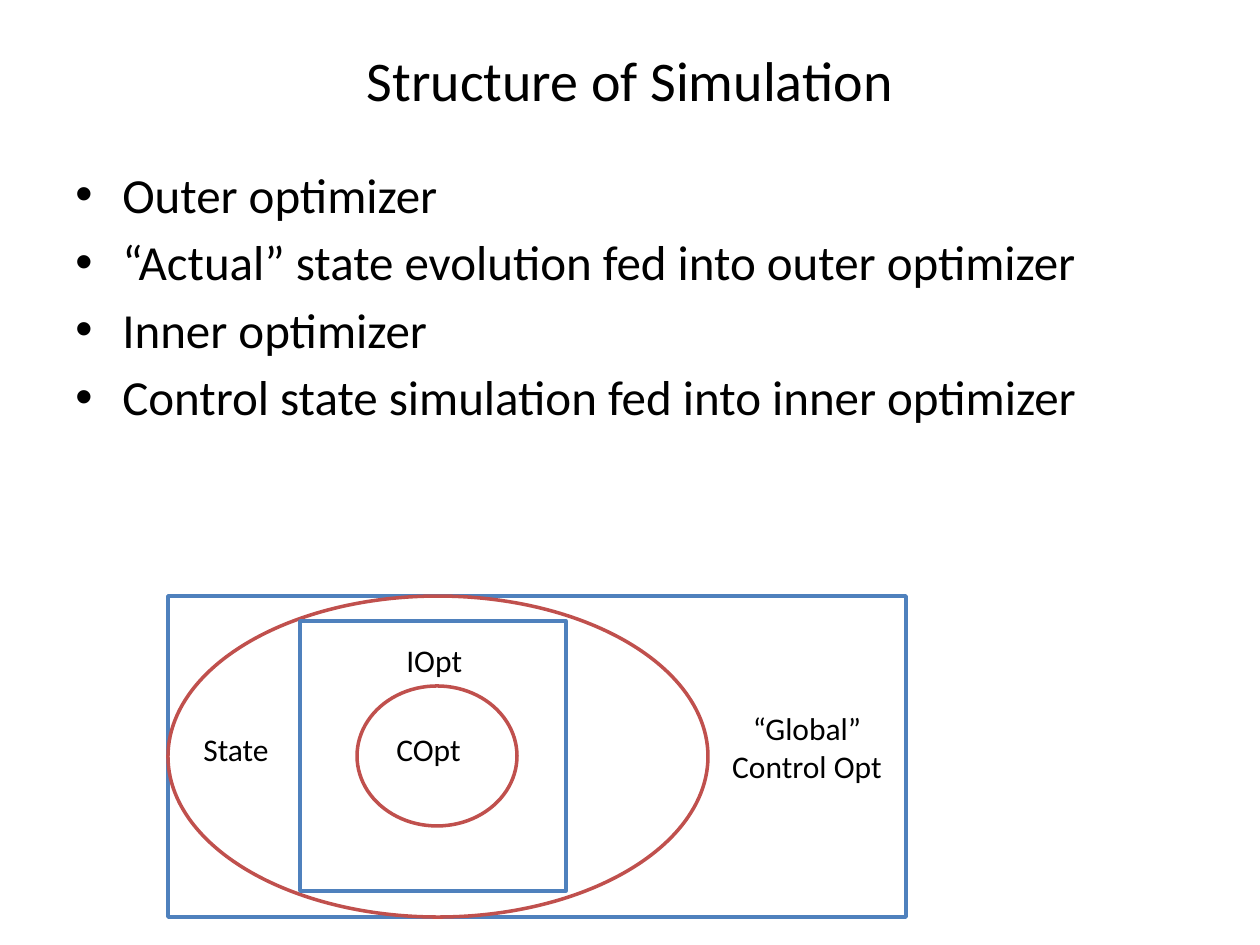
import dataclasses

import lxml.etree
import pptx
import pptx.dml.color
import pptx.enum.shapes
import pptx.enum.text
import pptx.oxml.ns
import pptx.util

ALIGN = pptx.enum.text.PP_ALIGN
ANCHOR = pptx.enum.text.MSO_ANCHOR
SHAPE = pptx.enum.shapes.MSO_SHAPE


@dataclasses.dataclass(frozen=True)
class Theme:
    font: str = "Calibri"
    text: str = "000000"
    paper: str = "FFFFFF"
    optimizer: str = "4F81BD"
    state: str = "C0504D"
    title_size: int = 32
    body_size: int = 28
    label_size: int = 18
    line_width: int = 2
    bullet_gap: int = 5


def px(length):
    return pptx.util.Emu(round(length * 914400 / 126))


def rgb(value):
    return pptx.dml.color.RGBColor.from_string(value)


class SlideBuilder:
    def __init__(self, slide, theme):
        self.slide = slide
        self.theme = theme

    def text(self, box, lines, size, align=ALIGN.LEFT, anchor=ANCHOR.TOP):
        shape = self.slide.shapes.add_textbox(*map(px, box))
        frame = shape.text_frame
        frame.word_wrap = True
        frame.vertical_anchor = anchor
        frame.text = "\n".join(lines)
        for paragraph in frame.paragraphs:
            paragraph.alignment = align
            for run in paragraph.runs:
                run.font.name = self.theme.font
                run.font.size = pptx.util.Pt(size)
                run.font.color.rgb = rgb(self.theme.text)
        return frame

    def title(self, box, text):
        self.text(box, [text], self.theme.title_size, ALIGN.CENTER, ANCHOR.MIDDLE)

    def bullets(self, box, lines, indent):
        frame = self.text(box, lines, self.theme.body_size)
        for paragraph in frame.paragraphs:
            paragraph.space_before = pptx.util.Pt(self.theme.bullet_gap)
            properties = paragraph._p.get_or_add_pPr()
            properties.set("marL", str(px(indent)))
            properties.set("indent", str(px(-indent)))
            font = lxml.etree.SubElement(properties, pptx.oxml.ns.qn("a:buFont"))
            font.set("typeface", "Arial")
            bullet = lxml.etree.SubElement(properties, pptx.oxml.ns.qn("a:buChar"))
            bullet.set("char", "•")

    def label(self, box, text, align=ALIGN.LEFT):
        frame = self.text(box, [text], self.theme.label_size, align)
        frame.auto_size = pptx.enum.text.MSO_AUTO_SIZE.SHAPE_TO_FIT_TEXT

    def outline(self, kind, box, color):
        shape = self.slide.shapes.add_shape(kind, *map(px, box))
        shape.shadow.inherit = False
        shape.fill.solid()
        shape.fill.fore_color.rgb = rgb(self.theme.paper)
        shape.line.color.rgb = rgb(color)
        shape.line.width = pptx.util.Pt(self.theme.line_width)


def main():
    presentation = pptx.Presentation()
    presentation.slide_width = px(1260)
    presentation.slide_height = px(945)
    theme = Theme()
    slide = presentation.slides.add_slide(presentation.slide_layouts[6])
    builder = SlideBuilder(slide, theme)

    builder.title((63, 0, 1134, 158), "Structure of Simulation")
    builder.bullets(
        (63, 158, 1134, 357),
        [
            "Outer optimizer",
            "“Actual” state evolution fed into outer optimizer",
            "Inner optimizer",
            "Control state simulation fed into inner optimizer",
        ],
        indent=47,
    )

    builder.outline(SHAPE.RECTANGLE, (168, 596, 738, 321), theme.optimizer)
    builder.outline(SHAPE.OVAL, (168, 596, 540, 321), theme.state)
    builder.outline(SHAPE.RECTANGLE, (300, 621, 266, 270), theme.optimizer)
    builder.outline(SHAPE.OVAL, (357, 686, 160, 140), theme.state)

    builder.label((384, 724, 112, 50), "COpt")
    builder.label((394, 635, 103, 50), "IOpt")
    builder.label((191, 724, 165, 50), "State")
    builder.label((708, 703, 198, 89), "“Global” Control Opt", ALIGN.CENTER)

    presentation.save("out.pptx")


if __name__ == "__main__":
    main()
